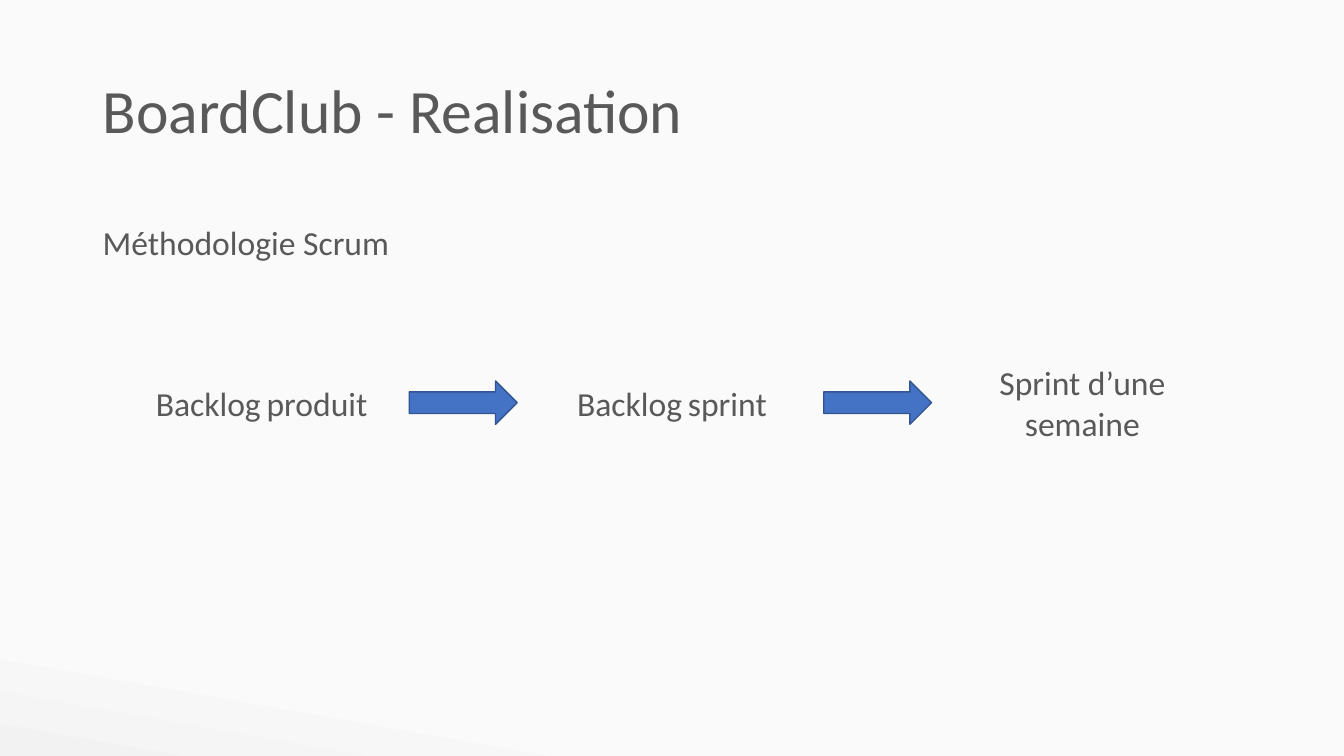
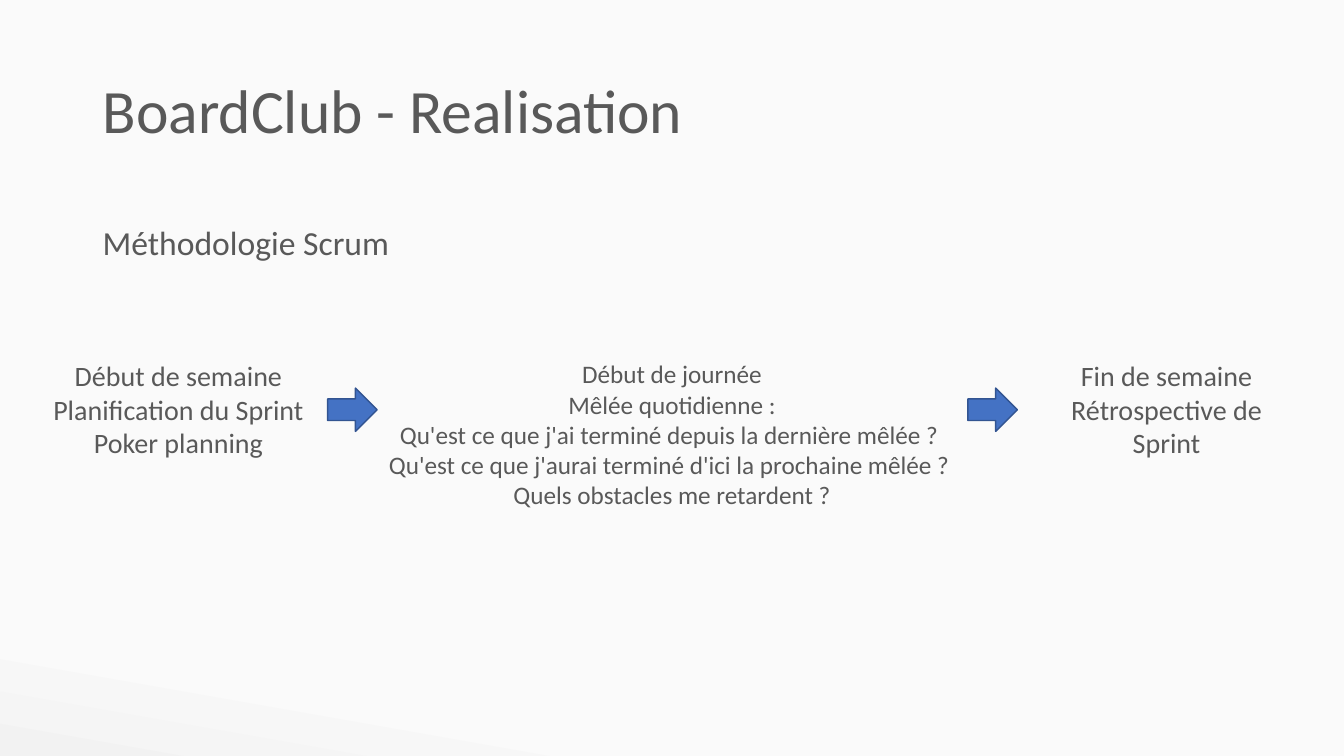
from lxml import etree
from pptx import Presentation
from pptx import util as u
from pptx.dml.color import RGBColor
from pptx.enum import shapes, text
from pptx.oxml.ns import qn


def color(value):
    return RGBColor.from_string(value)


def write_text(frame, paragraphs, size=24, align=text.PP_ALIGN.CENTER,
               anchor=text.MSO_ANCHOR.TOP, spacing=None):
    frame.word_wrap = True
    frame.vertical_anchor = anchor
    for index, content in enumerate(paragraphs):
        paragraph = frame.paragraphs[0] if index == 0 else frame.add_paragraph()
        paragraph.alignment = align
        paragraph.line_spacing = spacing
        pieces = [(content, size)] if isinstance(content, str) else content
        for words, points in pieces:
            run = paragraph.add_run()
            run.text = words
            run.font.name = Deck.FONT
            run.font.size = u.Pt(points)
            run.font.color.rgb = color(Deck.TEXT)


class Deck:
    FONT = "Calibri"
    TEXT = "595959"
    ARROW = "4472C4"
    ARROW_LINE = "325491"
    BACKGROUND = ((0.87, "FAFAFA"), (1, "F2F2F2"))
    ARROW_HEIGHT = 0.43

    def __init__(self):
        self.presentation = Presentation()
        self.presentation.slide_width = u.Inches(13.33)
        self.presentation.slide_height = u.Inches(7.5)
        self.slide = None

    def add_slide(self, title, subtitle):
        self.slide = self.presentation.slides.add_slide(self.presentation.slide_layouts[6])
        self.paint_background()
        left = text.PP_ALIGN.LEFT
        self.add_text([title], 0.92, 0.4, 11.5, 1.45, size=44, align=left,
                      anchor=text.MSO_ANCHOR.MIDDLE, spacing=0.9)
        self.add_text([subtitle], 0.92, 2.15, 4.51, 0.5, align=left)

    def paint_background(self):
        fill = self.slide.background.fill
        fill.gradient()
        fill.gradient_angle = 260
        for stop, (position, value) in zip(fill.gradient_stops, self.BACKGROUND):
            stop.position = position
            stop.color.rgb = color(value)
        for rgb in self.slide.background._cSld.iter(qn("a:srgbClr")):
            etree.SubElement(rgb, qn("a:alpha"), val="50000")

    def add_text(self, paragraphs, left, top, width, height, **style):
        box = self.slide.shapes.add_textbox(*map(u.Inches, (left, top, width, height)))
        write_text(box.text_frame, paragraphs, **style)

    def add_arrow(self, left, top, width):
        arrow = self.slide.shapes.add_shape(
            shapes.MSO_SHAPE.RIGHT_ARROW,
            *map(u.Inches, (left, top, width, self.ARROW_HEIGHT)))
        arrow.shadow.inherit = False
        arrow.fill.solid()
        arrow.fill.fore_color.rgb = color(self.ARROW)
        arrow.line.color.rgb = color(self.ARROW_LINE)
        arrow.line.width = u.Pt(1)


def build_backlog(deck):
    steps = (
        ([[("Backlog", 24), (" ", 18), ("produit", 24)]], 0.5),
        ([[("Backlog", 24), (" ", 18), ("sprint", 24)]], 0.5),
        (["Sprint d’une semaine"], 0.91),
    )
    for index, (label, height) in enumerate(steps):
        deck.add_text(label, 1.31 + 4.07 * index, 4 - height / 2, 2.57, height)
    for left in (4.06, 8.17):
        deck.add_arrow(left, 3.78, 1.07)


def build_rituals(deck):
    rituals = (
        (0.42, 2.7, 1.11, 20,
         ["Début de semaine", "Planification du Sprint", "Poker planning"]),
        (3.64, 6.05, 1.62, 18,
         ["Début de journée", "Mêlée quotidienne :",
          "Qu'est ce que j'ai terminé depuis la dernière mêlée ? ",
          "Qu'est ce que j'aurai terminé d'ici la prochaine mêlée ? ",
          "Quels obstacles me retardent ?"]),
        (10.22, 2.7, 1.11, 20, ["Fin de semaine", "Rétrospective de Sprint"]),
    )
    for left, width, height, size, lines in rituals:
        deck.add_text(lines, left, 3.51, width, height, size=size)
    for left in (3.25, 9.6):
        deck.add_arrow(left, 3.85, 0.49)


def main():
    deck = Deck()
    for build in (build_backlog, build_rituals):
        deck.add_slide("BoardClub - Realisation", "Méthodologie Scrum")
        build(deck)
    deck.presentation.save("out.pptx")


if __name__ == "__main__":
    main()
